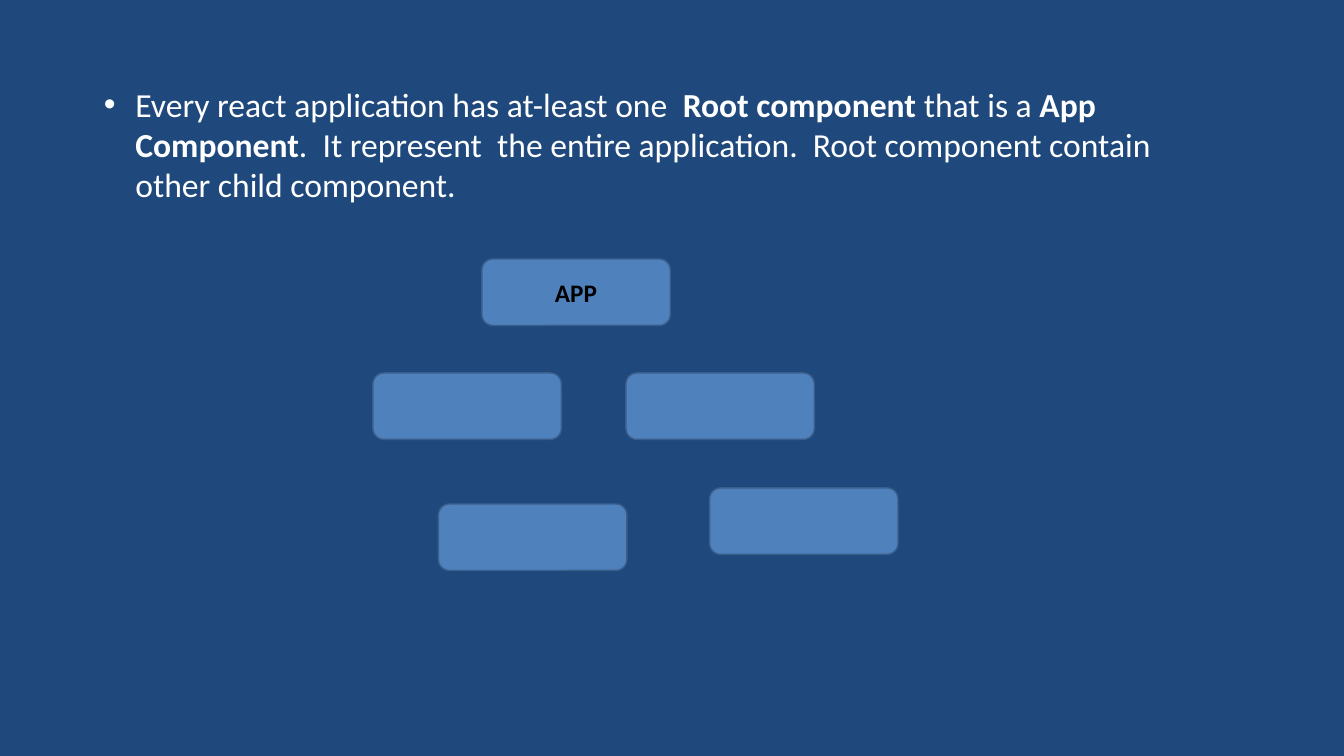
"""Build a slide on the root component of a React application."""
from lxml.etree import SubElement
from pptx import Presentation
from pptx.dml.color import RGBColor
from pptx.enum.shapes import MSO_SHAPE as Shape
from pptx.enum.text import MSO_ANCHOR as Anchor, MSO_AUTO_SIZE as AutoSize, PP_ALIGN as Align
from pptx.oxml.ns import qn
from pptx.util import Pt

COLORS = {"background": "1F497D", "component": "4F81BD", "outline": "3A5F8C",
          "body": "FFFFFF", "label": "000000"}
BODY_FONT = {"name": "Calibri", "size": Pt(24)}
LABEL_FONT = {"name": "Calibri", "size": Pt(18), "bold": True}
COMPONENT_SIZE = (134.6, 47.5)
ROOT_PLACE = (344.2, 185)
CHILD_PLACES = [(266.4, 266.4), (447.1, 266.4), (313.2, 360), (506.9, 348.5)]
STATEMENT = [
    ("Every react application has at-least one  ", False),
    ("Root component ", True),
    ("that is a ", False),
    ("App Component", True),
    (".  It represent  the entire application.  Root component contain other child component.", False),
]


def color(name):
    return RGBColor.from_string(COLORS[name])


def apply_font(font, values, color_name):
    for key, value in values.items():
        setattr(font, key, value)
    font.color.rgb = color(color_name)


def add_bullet(para, indent):
    properties = para._p.get_or_add_pPr()
    properties.set("marL", str(Pt(indent)))
    properties.set("indent", str(-Pt(indent)))
    SubElement(properties, qn("a:buChar"), char="•")


def fill_statement(box):
    place = {"left": 67, "top": 56.2, "width": 820.8, "height": 94.3}
    for key, value in place.items():
        setattr(box, key, Pt(value))
    frame = box.text_frame
    frame.word_wrap = True
    frame.auto_size = AutoSize.SHAPE_TO_FIT_TEXT
    para = frame.paragraphs[0]
    add_bullet(para, 22.5)
    para.space_before = Pt(0)
    for text, bold in STATEMENT:
        span = para.add_run()
        span.text = text
        apply_font(span.font, {**BODY_FONT, "bold": bold}, "body")


def add_component(page, place, label=None):
    box = page.shapes.add_shape(
        Shape.ROUNDED_RECTANGLE, *(Pt(length) for length in place + COMPONENT_SIZE))
    box.shadow.inherit = False
    box.fill.solid()
    box.fill.fore_color.rgb = color("component")
    box.line.color.rgb = color("outline")
    box.line.width = Pt(1)
    if label:
        box.text_frame.vertical_anchor = Anchor.MIDDLE
        para = box.text_frame.paragraphs[0]
        para.alignment = Align.CENTER
        span = para.add_run()
        span.text = label
        apply_font(span.font, LABEL_FONT, "label")


def main():
    deck = Presentation()
    deck.slide_width, deck.slide_height = Pt(960), Pt(540)
    page = deck.slides.add_slide(deck.slide_layouts[1])
    page.background.fill.solid()
    page.background.fill.fore_color.rgb = color("background")
    title = page.shapes.title.element
    title.getparent().remove(title)
    fill_statement(page.placeholders[1])
    add_component(page, ROOT_PLACE, "APP")
    for place in CHILD_PLACES:
        add_component(page, place)
    deck.save("out.pptx")


if __name__ == "__main__":
    main()
